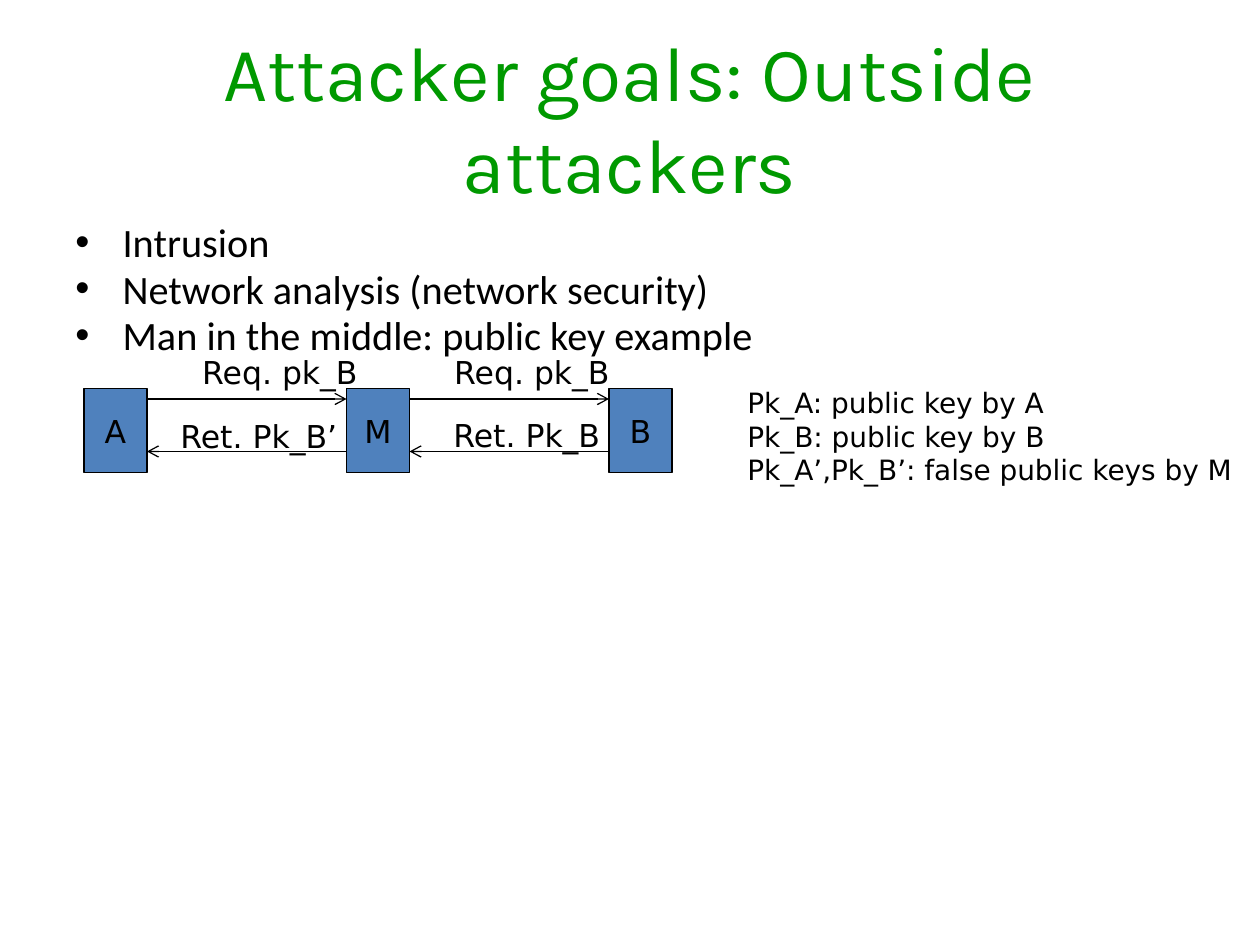
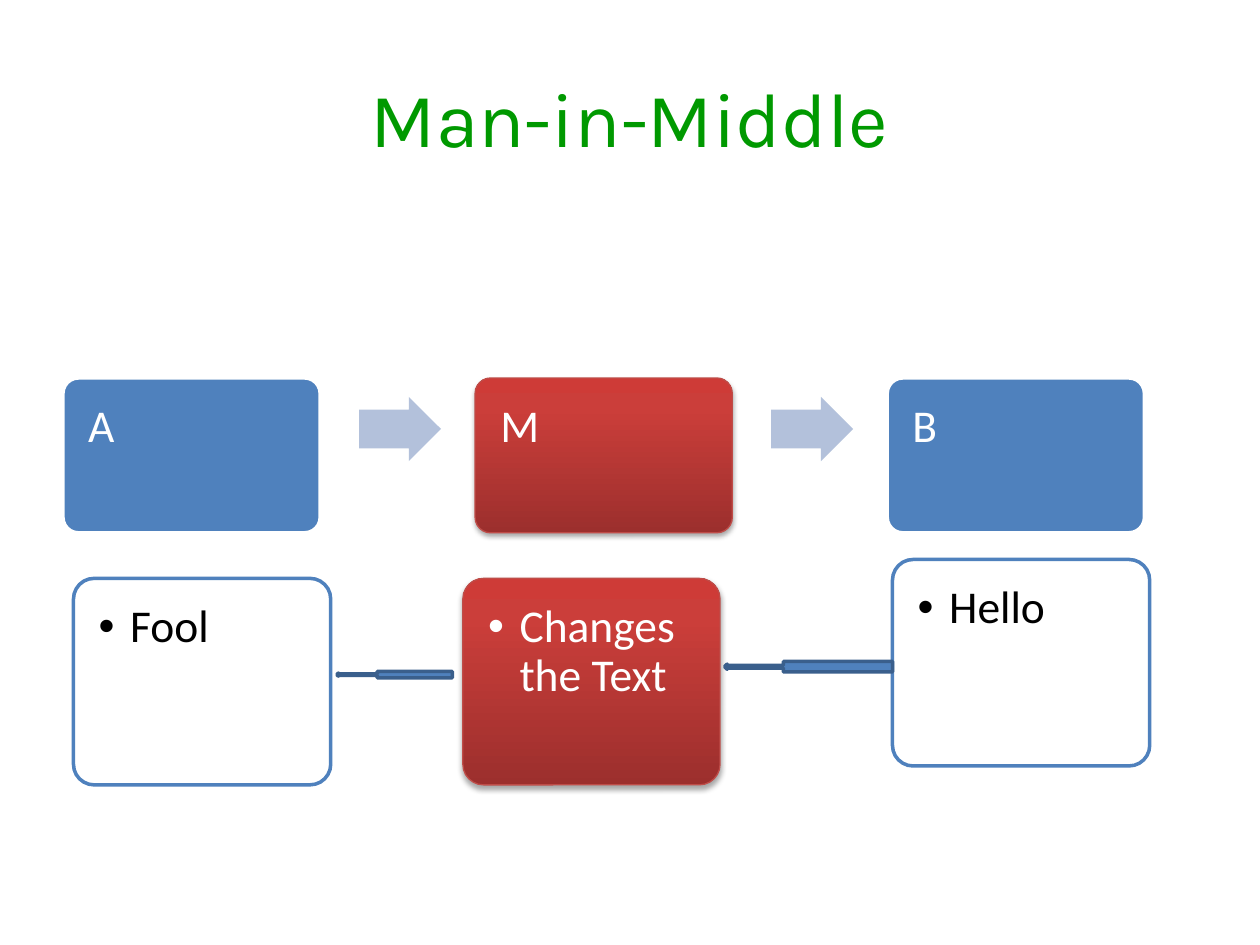
import lxml.etree
import pptx
import pptx.dml.color
import pptx.enum.shapes
import pptx.enum.text
import pptx.oxml.ns
import pptx.util

Pt = pptx.util.Pt
SHAPE = pptx.enum.shapes.MSO_SHAPE
ALIGN = pptx.enum.text.PP_ALIGN
ANCHOR = pptx.enum.text.MSO_ANCHOR
COLORS = {
    "title": "009900", "black": "000000", "white": "FFFFFF", "blue": "4F81BD",
    "dark_blue": "3A5F8C", "pale_blue": "B3C1DB", "red_line": "BF4C48",
}
RED_STOPS = [(0, "9C2F2D"), (80, "CB3E3A"), (100, "CE3B37")]
TITLE_FONT, BODY_FONT, DIAGRAM_FONT = "Karla", "Calibri", "DejaVu Sans"


def color(name):
    return pptx.dml.color.RGBColor.from_string(COLORS[name])


def add_element(parent, tag, **attributes):
    element = lxml.etree.SubElement(parent, pptx.oxml.ns.qn(tag))
    for key, value in attributes.items():
        element.set(key, str(value))
    return element


def write(frame, lines, font, size, ink, align=ALIGN.LEFT, bullet_indent=0,
          line_spacing=None, space_before=0):
    frame.text = "\n".join(lines)
    for index, para in enumerate(frame.paragraphs):
        para.alignment = align
        if line_spacing:
            para.line_spacing = line_spacing
        if index and space_before:
            para.space_before = Pt(space_before)
        if bullet_indent:
            props = para._p.get_or_add_pPr()
            props.set("marL", str(Pt(bullet_indent)))
            props.set("indent", str(-Pt(bullet_indent)))
            add_element(props, "a:buFont", typeface="Arial")
            add_element(props, "a:buChar", char="•")
        for span in para.runs:
            span.font.name = font
            span.font.size = Pt(size)
            span.font.color.rgb = color(ink)


def add_text(page, box, lines, font, size, ink="black", wrap=True, anchor=ANCHOR.TOP, **layout):
    frame = page.shapes.add_textbox(*map(Pt, box)).text_frame
    frame.word_wrap = wrap
    frame.vertical_anchor = anchor
    write(frame, lines, font, size, ink, **layout)


def add_box(page, kind, box, fill, line=None, width=2):
    shape = page.shapes.add_shape(kind, *map(Pt, box))
    shape.shadow.inherit = False
    shape.fill.solid()
    shape.fill.fore_color.rgb = color(fill)
    if line:
        shape.line.color.rgb = color(line)
        shape.line.width = Pt(width)
    else:
        shape.line.fill.background()
    return shape


def add_title(page, text):
    add_text(page, (36, 21.6, 648, 90), [text], TITLE_FONT, 44, "title",
             anchor=ANCHOR.MIDDLE, align=ALIGN.CENTER)


def add_arrow(page, start_x, end_x, y):
    line = page.shapes.add_connector(
        pptx.enum.shapes.MSO_CONNECTOR.STRAIGHT, Pt(start_x), Pt(y), Pt(end_x), Pt(y))
    line.line.color.rgb = color("black")
    line.line.width = Pt(0.75)
    add_element(line.line._get_or_add_ln(), "a:tailEnd", type="arrow")
    add_element(line._element.spPr, "a:effectLst")


def add_key_exchange(page, left, top):
    """Draw the parties A, M and B with the requests and replies between them."""
    node_width, node_height, pitch = 36, 48, 150
    for index, party in enumerate("AMB"):
        box = (left + index * pitch, top, node_width, node_height)
        node = add_box(page, SHAPE.RECTANGLE, box, "blue", "black", 0.75)
        node.text_frame.word_wrap = False
        node.text_frame.vertical_anchor = ANCHOR.MIDDLE
        write(node.text_frame, [party], DIAGRAM_FONT, 18, "black", ALIGN.CENTER)
    for index in range(2):
        start, end = left + index * pitch + node_width, left + (index + 1) * pitch
        add_arrow(page, start, end, top + 6)
        add_arrow(page, end, start, top + 36)
    labels = [("Req. pk_B", 60.5, -24, 108), ("Req. pk_B", 204.5, -24, 108),
              ("Ret. Pk_B", 204, 12, 104), ("Ret. Pk_B’", 48, 12.5, 109)]
    for label, x, y, width in labels:
        add_text(page, (left + x, top + y, width, 29), [label], DIAGRAM_FONT, 18, wrap=False)


def make_red(shape):
    """Give the attacker's card its gradient and soft shadow."""
    shape.fill.gradient()
    shape.fill.gradient_angle = 90
    properties = shape._element.spPr
    stops = properties.find(".//" + pptx.oxml.ns.qn("a:gsLst"))
    for stop in list(stops):
        stops.remove(stop)
    for position, shade in RED_STOPS:
        stop = add_element(stops, "a:gs", pos=position * 1000)
        add_element(stop, "a:srgbClr", val=shade)
    effects = properties.find(pptx.oxml.ns.qn("a:effectLst"))
    shadow = add_element(effects, "a:outerShdw", blurRad=Pt(3.1), dist=Pt(1.8),
                         dir=90 * 60000, rotWithShape=0)
    shade = add_element(shadow, "a:srgbClr", val=COLORS["black"])
    add_element(shade, "a:alpha", val=35000)


def add_card(page, box, text, fill, line, ink, attacker=False, bullet_indent=0):
    line_width = 0.75 if attacker else 2
    card = add_box(page, SHAPE.ROUNDED_RECTANGLE, box, fill, line, line_width)
    card.adjustments[0] = 0.1
    if attacker:
        make_red(card)
    frame = card.text_frame
    frame.word_wrap = True
    frame.vertical_anchor = ANCHOR.TOP
    # The rounded corners already push the text in by about 3% of the height.
    inset = Pt(round(14.4 - 0.029 * box[3], 2))
    frame.margin_left = frame.margin_right = frame.margin_top = frame.margin_bottom = inset
    write(frame, [text], BODY_FONT, 26, ink, bullet_indent=bullet_indent, line_spacing=0.9)
    return card


def add_parties(page, left, top):
    pitch = 235.5
    for index, party in enumerate("AMB"):
        attacker = party == "M"
        x = left + index * pitch
        add_card(page, (x, top, 147, 88.5), party, "blue",
                 "red_line" if attacker else "white", "white", attacker)
        if index < 2:
            arrow = add_box(page, SHAPE.RIGHT_ARROW, (x + 169.2, top + 10.8, 46.8, 36.7), "pale_blue")
            arrow.adjustments[0] = 0.6


def add_messages(page, left, top):
    """Draw the message as each party sees it, passing from right to left."""
    messages = [("Fool", 0, 10.8), ("Changes the Text", 222.5, 10.8), ("Hello", 468, 0)]
    for index, (text, x, y) in enumerate(messages):
        box = (left + x, top + y, 147, 118)
        if index == 1:
            add_card(page, box, text, "blue", "red_line", "white", True, bullet_indent=18)
        else:
            card = add_card(page, box, text, "white", "blue", "black", bullet_indent=18)
            solid = card._element.spPr.find(pptx.oxml.ns.qn("a:solidFill"))
            add_element(solid[0], "a:alpha", val=90000)
    for x, y, width, height in [(372, 58.3, 96, 6), (150.5, 64, 66, 3.6)]:
        add_box(page, SHAPE.LEFT_ARROW_CALLOUT, (left + x, top + y, width, height),
                "blue", "dark_blue")


def build_goals(page):
    add_title(page, "Attacker goals: Outside attackers")
    goals = ["Intrusion", "Network analysis (network security)",
             "Man in the middle: public key example"]
    add_text(page, (36, 126, 648, 356.4), goals, BODY_FONT, 23,
             bullet_indent=27, line_spacing=0.8, space_before=4.6)
    add_key_exchange(page, 48, 222)
    legend = ["Pk_A: public key by A", "Pk_B: public key by B",
              "Pk_A’,Pk_B’: false public keys by M"]
    add_text(page, (420, 216.7, 299.5, 65.5), legend, DIAGRAM_FONT, 16, wrap=False)


def build_man_in_middle(page):
    add_title(page, "Man-in-Middle")
    add_parties(page, 36, 216)
    add_messages(page, 42, 319.7)


def main():
    deck = pptx.Presentation()
    deck.slide_width, deck.slide_height = Pt(720), Pt(540)
    for build in (build_goals, build_man_in_middle):
        build(deck.slides.add_slide(deck.slide_layouts[6]))
    deck.save("out.pptx")


if __name__ == "__main__":
    main()
